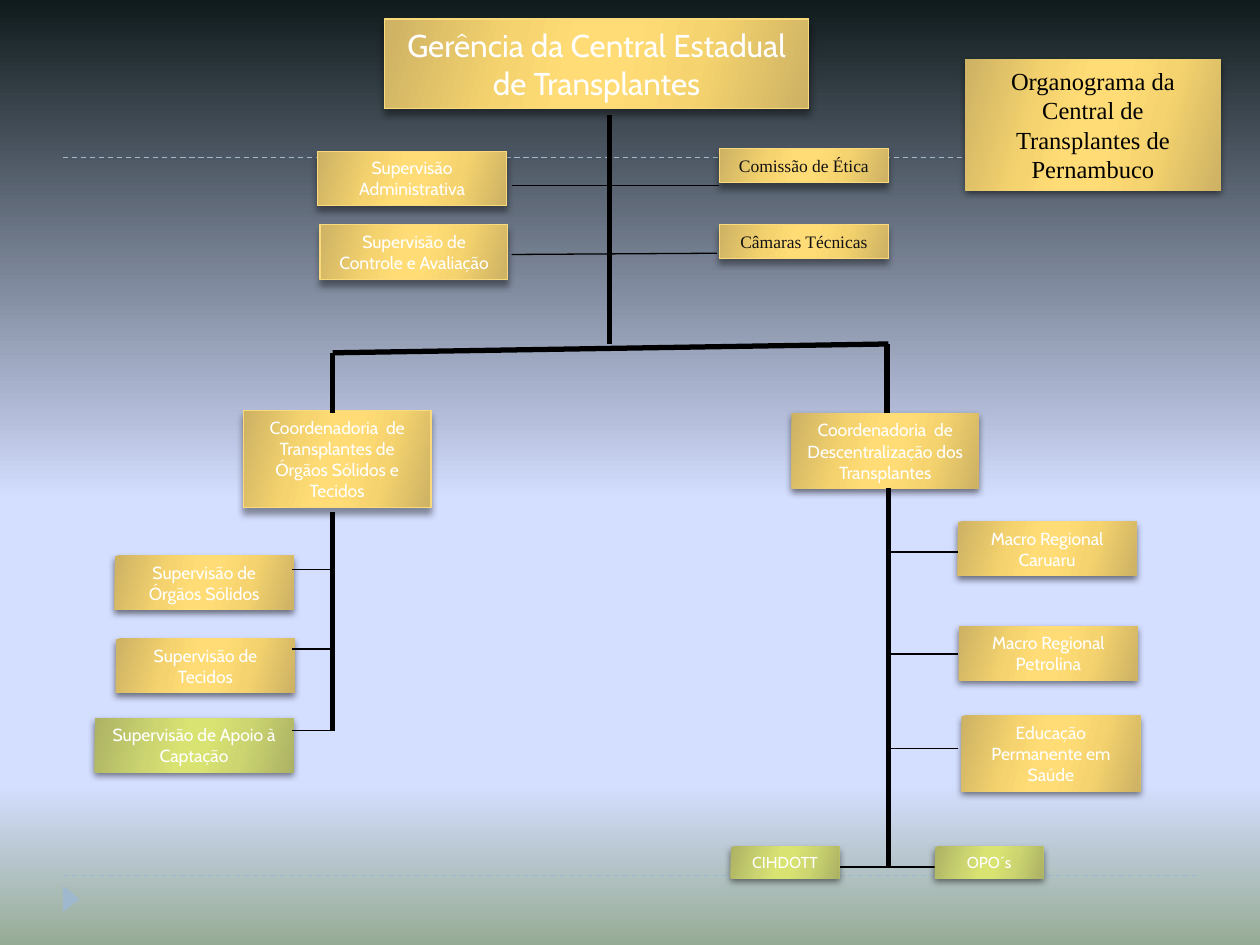
from lxml.etree import SubElement
from pptx import Presentation
from pptx.dml.color import RGBColor
from pptx.enum.dml import MSO_LINE_DASH_STYLE as Dash
from pptx.enum.shapes import MSO_CONNECTOR as Connector, MSO_SHAPE as Shape
from pptx.enum.text import MSO_ANCHOR as Anchor, MSO_AUTO_SIZE as AutoSize, PP_ALIGN as Align
from pptx.oxml.ns import qn
from pptx.util import Inches, Pt

BODY_FONT, SERIF_FONT = "Cabin", "Times New Roman"
WHITE, BLACK, INK = "FFFFFF", "000000", "121215"
GOLD_EDGE, BLUE = "FADA7A", "9FB8CD"
SKY = [(0, "101B1D"), (53, "D4DEFF"), (83, "D4DEFF"), (100, "96AB94")]
STOPS = (0, 30, 45, 55, 73, 100)


def metallic(dark, middle, light):
    return list(zip(STOPS, (dark, middle, light, light, middle, dark)))


GOLD = metallic("CDB264", "F5D36E", "FFDC75")
GREEN = metallic("ACB264", "CCD570", "D9E371")


def color(value):
    return RGBColor.from_string(value)


def write_text(shape, text, size=10, font=BODY_FONT, ink=WHITE):
    frame = shape.text_frame
    frame.word_wrap = True
    frame.auto_size = AutoSize.NONE
    frame.vertical_anchor = Anchor.MIDDLE
    frame.margin_left = frame.margin_right = Inches(0.1)
    frame.margin_top = frame.margin_bottom = Inches(0.05)
    paragraph = frame.paragraphs[0]
    paragraph.alignment = Align.CENTER
    paragraph.line_spacing = 1.0
    paragraph.space_before = Pt(0)
    run = paragraph.add_run()
    run.text = text
    run.font.size, run.font.name = Pt(size), font
    run.font.color.rgb = color(ink)


def apply_gradient(fill, element, stops, angle):
    fill.gradient()
    gradient = next(element.iter(qn("a:gradFill")))
    stop_list = gradient.find(qn("a:gsLst"))
    for stop in list(stop_list):
        stop_list.remove(stop)
    for position, value in stops:
        stop = SubElement(stop_list, qn("a:gs"), pos=str(position * 1000))
        SubElement(stop, qn("a:srgbClr"), val=value)
    gradient.find(qn("a:lin")).set("ang", str(angle * 60000))


def add_shadow(shape, opacity, distance):
    shape.shadow.inherit = False
    effects = shape._element.spPr.find(qn("a:effectLst"))
    shadow = SubElement(effects, qn("a:outerShdw"), blurRad=str(Pt(4)), dist=str(Pt(distance)),
                        dir="5400000", rotWithShape="0")
    shade = SubElement(shadow, qn("a:srgbClr"), val=BLACK)
    SubElement(shade, qn("a:alpha"), val=str(opacity * 1000))


class OrgChart:
    """Holds the box style and the slide being built."""

    def __init__(self, slide):
        self.slide = slide

    def background(self):
        apply_gradient(self.slide.background.fill, self.slide._element, SKY, 90)

    def style_box(self, shape, stops, outlined):
        apply_gradient(shape.fill, shape._element.spPr, stops, 16)
        if outlined:
            shape.line.color.rgb = color(GOLD_EDGE)
            shape.line.width = Pt(0.75)
        else:
            shape.line.fill.background()
        add_shadow(shape, *((40, 3.4) if outlined else (50, 2)))

    def box(self, text, left, top, width, height, stops=GOLD, outlined=False, **text_format):
        shape = self.slide.shapes.add_shape(Shape.RECTANGLE, *map(Inches, (left, top, width, height)))
        self.style_box(shape, stops, outlined)
        write_text(shape, text, **text_format)

    def title(self, text, left, top, width, height, **text_format):
        shape = self.slide.shapes.title
        shape.left, shape.top, shape.width, shape.height = map(Inches, (left, top, width, height))
        self.style_box(shape, GOLD, False)
        write_text(shape, text, **text_format)
        self.slide.shapes._spTree.append(shape._element)  # bring in front of the dashed line

    def line(self, x1, y1, x2, y2, width=0.75, ink=BLACK, dash=None):
        connector = self.slide.shapes.add_connector(Connector.STRAIGHT, *map(Inches, (x1, y1, x2, y2)))
        connector.line.color.rgb = color(ink)
        connector.line.width = Pt(width)
        if dash:
            connector.line.dash_style = dash
        SubElement(connector._element.spPr, qn("a:effectLst"))

    def corner_marker(self):
        marker = self.slide.shapes.add_shape(Shape.ISOSCELES_TRIANGLE,
                                             *map(Inches, (0.46, 7.07, 0.21, 0.13)))
        marker.rotation = 90
        marker.fill.solid()
        marker.fill.fore_color.rgb = color(BLUE)
        marker.line.fill.background()
        marker.shadow.inherit = False


def main():
    presentation = Presentation()
    presentation.slide_width, presentation.slide_height = Inches(10), Inches(7.5)
    chart = OrgChart(presentation.slides.add_slide(presentation.slide_layouts[5]))

    # Backdrop
    chart.background()
    for y in (6.95, 1.25):
        chart.line(0.5, y, 9.5, y, ink=BLUE, dash=Dash.DASH)
    chart.corner_marker()

    # Thick trunk and branches
    for ends in ((4.84, 0.91, 4.84, 2.73), (2.64, 2.8, 7.05, 2.73)):
        chart.line(*ends, width=3)

    # Management and its advisory boxes
    chart.box("Gerência da Central Estadual de Transplantes", 3.05, 0.15, 3.37, 0.71,
              outlined=True, size=18)
    for text, top in (("Comissão de Ética", 1.18), ("Câmaras Técnicas", 1.78)):
        chart.box(text, 5.71, top, 1.34, 0.27, outlined=True, font=SERIF_FONT, ink=INK)
    chart.box("Supervisão Administrativa", 2.52, 1.2, 1.5, 0.43, outlined=True)
    chart.box("Supervisão de Controle e Avaliação", 2.54, 1.78, 1.49, 0.44, outlined=True)
    chart.line(4.06, 1.47, 5.71, 1.47)
    chart.line(4.06, 2.02, 5.69, 2.01)

    # Coordination boxes with their stems
    chart.box("Coordenadoria  de Transplantes de Órgãos Sólidos e Tecidos",
              1.93, 3.26, 1.49, 0.77, outlined=True)
    chart.box("Coordenadoria  de Descentralização dos Transplantes", 6.28, 3.28, 1.49, 0.6)
    for x, top, bottom in ((2.64, 2.8, 3.28), (2.64, 4.06, 5.8),
                           (7.04, 2.73, 3.28), (7.05, 3.87, 6.88)):
        chart.line(x, top, x, bottom, width=3)

    # Organ and tissue supervision
    for text, left, top, width, stops, link_y in (
            ("Supervisão de Órgãos Sólidos", 0.91, 4.41, 1.42, GOLD, 4.52),
            ("Supervisão de Tecidos", 0.92, 5.07, 1.42, GOLD, 5.15),
            ("Supervisão de Apoio à Captação", 0.75, 5.7, 1.58, GREEN, 5.8)):
        chart.box(text, left, top, width, 0.43, stops)
        chart.line(2.32, link_y, 2.64, link_y)

    # Decentralised units
    for text, left, top, height, link_y in (
            ("Macro Regional Caruaru", 7.6, 4.14, 0.43, 4.38),
            ("Macro Regional Petrolina", 7.61, 4.97, 0.43, 5.19),
            ("Educação Permanente em Saúde", 7.63, 5.68, 0.6, 5.94)):
        chart.box(text, left, top, 1.42, height)
        chart.line(7.05, link_y, 7.6, link_y)

    # Bottom pair
    chart.line(6.57, 6.88, 7.42, 6.88, width=1)
    for text, left in (("CIHDOTT", 5.8), ("OPO´s", 7.42)):
        chart.box(text, left, 6.72, 0.86, 0.25, GREEN, size=9)

    # Slide title
    chart.title("Organograma da Central de Transplantes de Pernambuco", 7.66, 0.47, 2.03, 1.04,
                size=14, font=SERIF_FONT, ink=BLACK)

    presentation.save("out.pptx")


if __name__ == "__main__":
    main()
